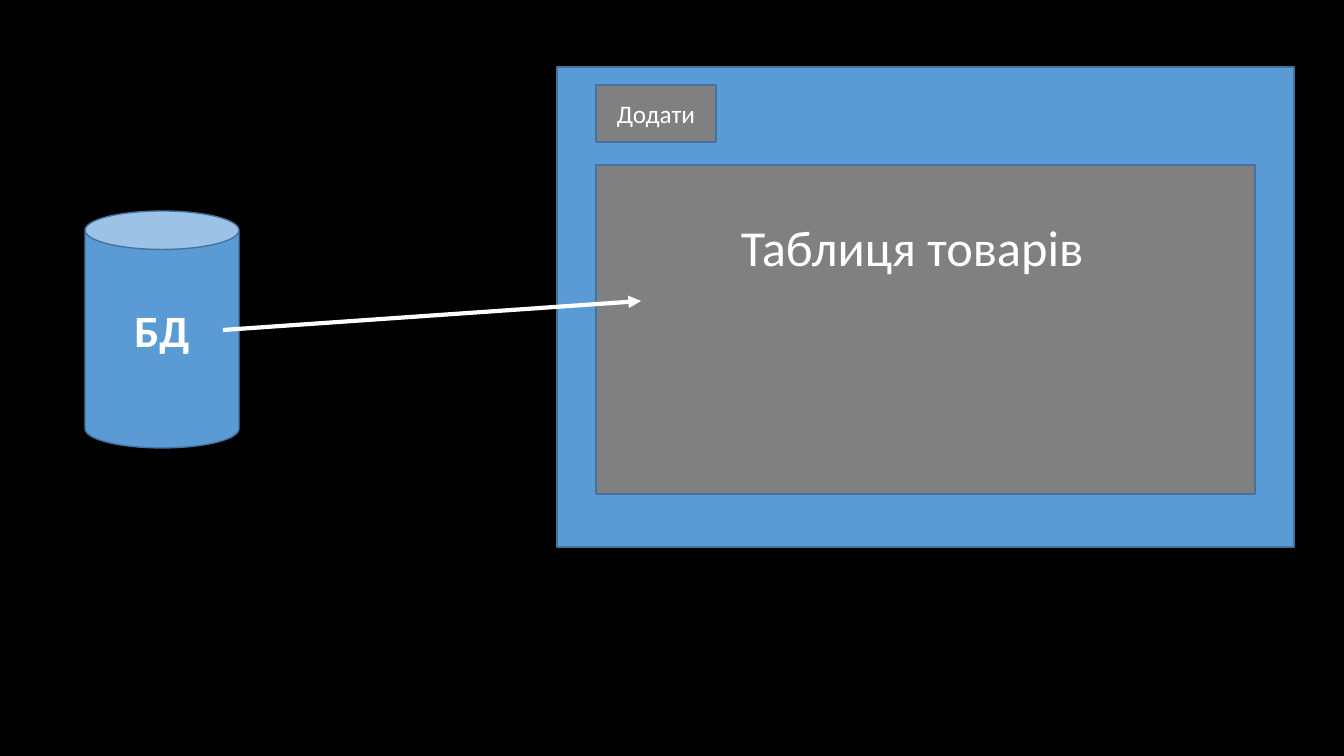
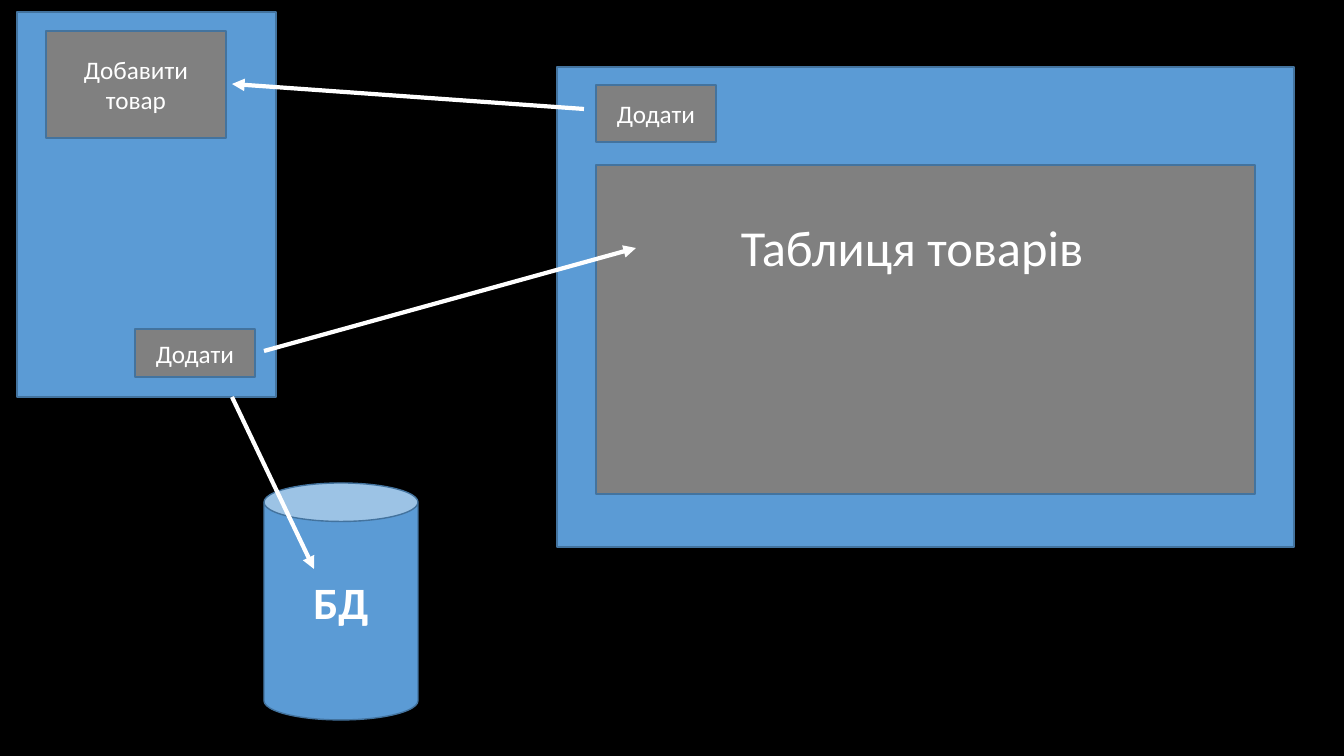
from dataclasses import dataclass

from lxml import etree
from pptx import Presentation
from pptx.dml.color import RGBColor
from pptx.enum.shapes import MSO_CONNECTOR, MSO_SHAPE
from pptx.enum.text import MSO_ANCHOR, PP_ALIGN
from pptx.oxml.ns import qn
from pptx.util import Pt

RECT, CAN = MSO_SHAPE.RECTANGLE, MSO_SHAPE.CAN
STRAIGHT = MSO_CONNECTOR.STRAIGHT
MIDDLE, TOP = MSO_ANCHOR.MIDDLE, MSO_ANCHOR.TOP
CENTER, LEFT = PP_ALIGN.CENTER, PP_ALIGN.LEFT
PX = 914400 / 100.8


@dataclass(frozen=True)
class Theme:
    back: RGBColor = RGBColor(0x00, 0x00, 0x00)
    blue: RGBColor = RGBColor(0x5B, 0x9B, 0xD5)
    gray: RGBColor = RGBColor(0x80, 0x80, 0x80)
    edge: RGBColor = RGBColor(0x43, 0x73, 0x9E)
    white: RGBColor = RGBColor(0xFF, 0xFF, 0xFF)
    font: str = "Calibri"
    button: int = 18
    database: int = 32
    heading: int = 36


T = Theme()


def box(s, kind, rect, fill, text="", size=T.button, edge=T.edge, bold=False,
        align=CENTER, anchor=MIDDLE):
    sp = s.shapes.add_shape(kind, *[round(v * PX) for v in rect])
    sp.shadow.inherit = False
    sp.fill.solid()
    sp.fill.fore_color.rgb = fill
    sp.line.color.rgb = edge
    sp.line.width = Pt(1)
    tf = sp.text_frame
    tf.word_wrap = True
    tf.vertical_anchor = anchor
    tf.text = text
    p = tf.paragraphs[0]
    p.alignment = align
    for r in p.runs:
        r.font.name = T.font
        r.font.size = Pt(size)
        r.font.bold = bold
        r.font.color.rgb = T.white


def arrow(s, ends):
    cx = s.shapes.add_connector(STRAIGHT, *[round(v * PX) for v in ends])
    cx.line.color.rgb = T.white
    cx.line.width = Pt(3)
    etree.SubElement(cx.line._get_or_add_ln(), qn("a:tailEnd"), type="triangle")
    etree.SubElement(cx._element.spPr, qn("a:effectLst"))


prs = Presentation()
prs.slide_width, prs.slide_height = round(1344 * PX), round(756 * PX)
bg = prs.slide_master.background.fill
bg.solid()
bg.fore_color.rgb = T.back

add_form = [
    ((17, 12, 259, 385), T.blue, ""),
    ((46, 31, 180, 107), T.gray, "Дoбавити товар"),
    ((135, 329, 120, 48), T.gray, "Додати"),
]
slides = [
    ([], (85, 211), [(223, 330, 641, 301)]),
    (add_form, (264, 483), [
        (584, 109, 232, 84),
        (232, 397, 314, 569),
        (264, 351, 636, 248),
    ]),
]

for form, (x, y), arrows in slides:
    s = prs.slides.add_slide(prs.slide_layouts[6])
    box(s, RECT, (557, 67, 737, 480), T.blue)
    box(s, RECT, (596, 165, 659, 329), T.gray)
    box(s, RECT, (731, 211, 419, 72), T.gray, "Таблиця товарів", T.heading,
        edge=T.gray, align=LEFT, anchor=TOP)
    box(s, RECT, (596, 85, 120, 57), T.gray, "Додати")
    for rect, fill, text in form:
        box(s, RECT, rect, fill, text)
    box(s, CAN, (x, y, 154, 237), T.blue)
    box(s, RECT, (x + 17, y + 90, 120, 57), T.blue, "БД", T.database,
        edge=T.blue, bold=True)
    for ends in arrows:
        arrow(s, ends)

prs.save("out.pptx")
